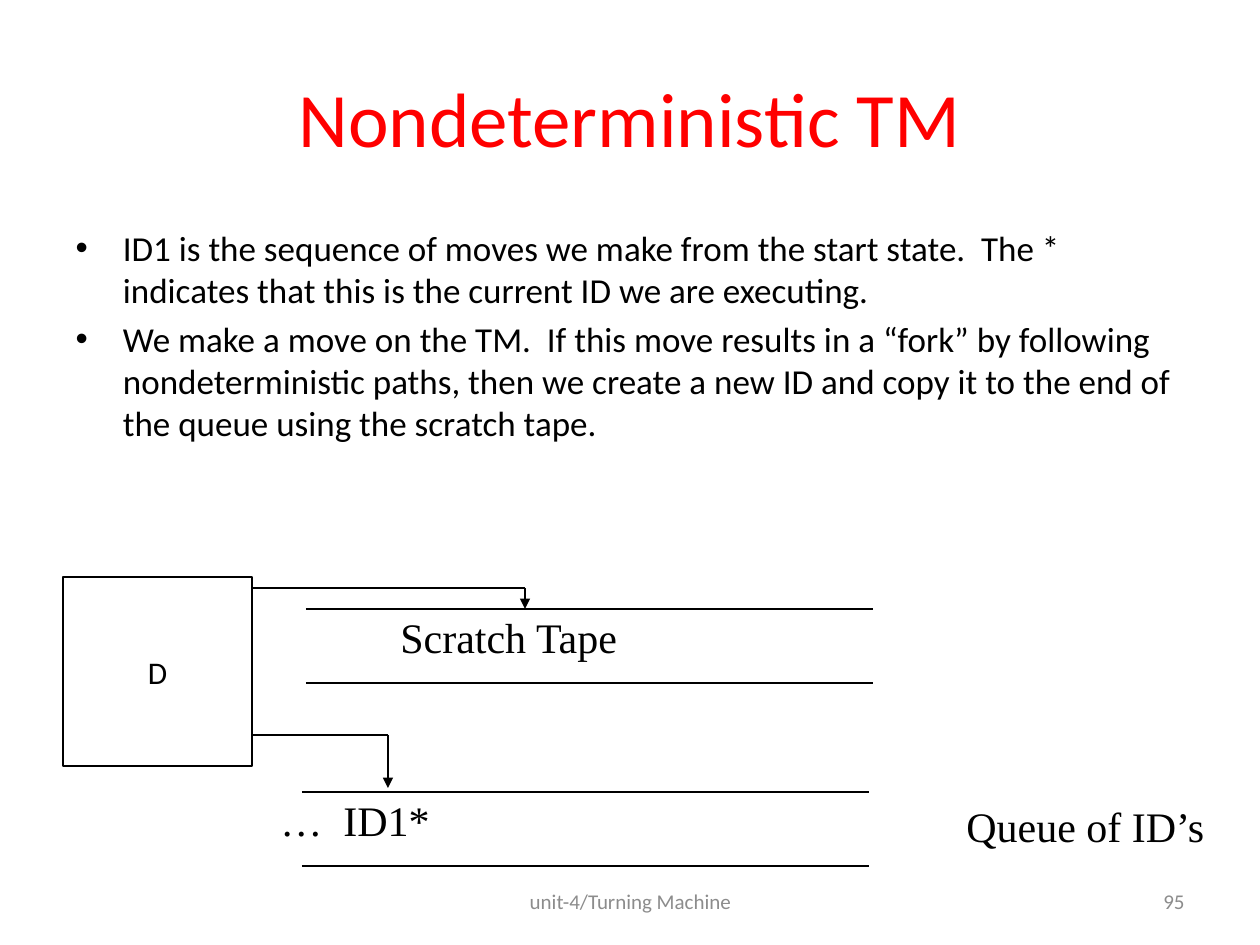
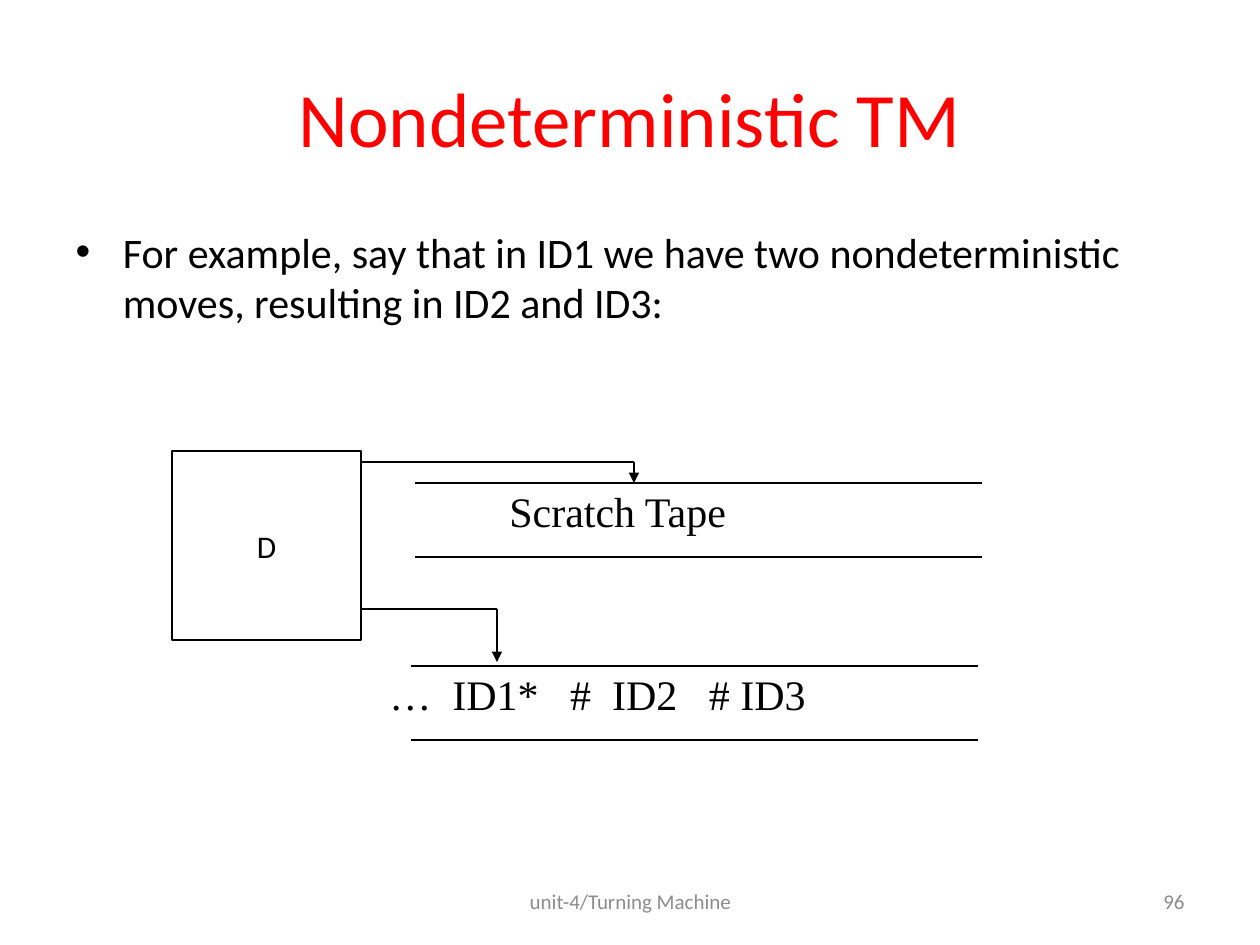
from dataclasses import dataclass

from lxml.etree import SubElement
from pptx import Presentation
from pptx.dml.color import RGBColor
from pptx.enum.shapes import MSO_CONNECTOR, MSO_SHAPE
from pptx.enum.text import MSO_ANCHOR, MSO_AUTO_SIZE, PP_ALIGN
from pptx.oxml.ns import qn
from pptx.util import Emu, Pt


@dataclass(frozen=True)
class Theme:
    red: RGBColor = RGBColor(255, 0, 0)
    ink: RGBColor = RGBColor(0, 0, 0)
    grey: RGBColor = RGBColor(140, 140, 140)
    sans: str = "Calibri"
    serif: str = "Times New Roman"
    title: int = 44
    label: int = 24
    state: int = 18
    small: int = 12
    line: float = 0.75


THEME = Theme()
SCALE = 914400 / 126
HEAD = "Nondeterministic TM"
FOOT = "unit-4/Turning Machine"

SLIDES = [
    {
        "points": [
            "ID1 is the sequence of moves we make from the start state.  The * "
            "indicates that this is the current ID we are executing.",
            "We make a move on the TM.  If this move results in a “fork” by following "
            "nondeterministic paths, then we create a new ID and copy it to the end of "
            "the queue using the scratch tape.",
        ],
        "size": 20,
        "origin": (63, 577),
        "queue": "…  ID1*",
        "note": "Queue of ID’s",
        "page": "95",
    },
    {
        "points": [
            "For example, say that in ID1 we have two nondeterministic moves, "
            "resulting in ID2 and ID3:",
        ],
        "size": 24,
        "origin": (172, 451),
        "queue": "…  ID1*   #  ID2   # ID3",
        "note": None,
        "page": "96",
    },
]

TITLE = (63, 38, 1134, 157)
BODY = (63, 220, 1134, 624)
MIDDLE = (431, 876, 399, 50)
RIGHT = (903, 876, 294, 50)

SIDE = 189
TAPE = 567
GAP = 74
TAPES = [(243, 32), (239, 215)]
HEADS = [(11, 462, 32), (158, 325, 211)]
SCRATCH = (325, 28, 260, 63)
QUEUE = (205, 211, 464, 63)
NOTE = (891, 217, 280, 63)


def px(n):
    return Emu(round(n * SCALE))


def place(shape, box):
    shape.left, shape.top, shape.width, shape.height = map(px, box)


def shift(box, origin):
    return (box[0] + origin[0], box[1] + origin[1], *box[2:])


def style(frame, font, size, color, align=PP_ALIGN.LEFT, anchor=MSO_ANCHOR.TOP):
    frame.word_wrap = True
    frame.auto_size = MSO_AUTO_SIZE.NONE
    frame.vertical_anchor = anchor
    for para in frame.paragraphs:
        para.alignment = align
        for run in para.runs:
            run.font.name = font
            run.font.size = Pt(size)
            run.font.color.rgb = color


def label(slide, text, box, font=THEME.serif, size=THEME.label, color=THEME.ink, **pos):
    frame = slide.shapes.add_textbox(*map(px, box)).text_frame
    frame.text = text
    style(frame, font, size, color, **pos)


def line(slide, start, end, arrow=False):
    rule = slide.shapes.add_connector(
        MSO_CONNECTOR.STRAIGHT, *map(px, (*start, *end))
    )
    rule.line.color.rgb = THEME.ink
    rule.line.width = Pt(THEME.line)
    if arrow:
        SubElement(rule.line._get_or_add_ln(), qn("a:tailEnd"), type="triangle")
    SubElement(rule._element.spPr, qn("a:effectLst"))


def state(slide, origin):
    box = slide.shapes.add_shape(
        MSO_SHAPE.RECTANGLE, *map(px, (*origin, SIDE, SIDE))
    )
    box.shadow.inherit = False
    box.fill.background()
    box.line.color.rgb = THEME.ink
    box.line.width = Pt(THEME.line)
    box.text_frame.text = "D"
    style(box.text_frame, THEME.sans, THEME.state, THEME.ink,
          PP_ALIGN.CENTER, MSO_ANCHOR.MIDDLE)


def machine(slide, origin, queue):
    left, top = origin
    for x, y in TAPES:
        for edge in (y, y + GAP):
            line(slide, (left + x, top + edge), (left + x + TAPE, top + edge))
    label(slide, "Scratch Tape", shift(SCRATCH, origin))
    label(slide, queue, shift(QUEUE, origin))
    state(slide, origin)
    for y, x, tip in HEADS:
        bend = (left + x, top + y)
        line(slide, (left + SIDE, top + y), bend)
        line(slide, bend, (left + x, top + tip), arrow=True)


def words(slide, points, size):
    title, body = slide.shapes.title, slide.placeholders[1]
    place(title, TITLE)
    title.text_frame.text = HEAD
    style(title.text_frame, THEME.sans, THEME.title, THEME.red,
          PP_ALIGN.CENTER, MSO_ANCHOR.MIDDLE)
    place(body, BODY)
    frame = body.text_frame
    frame.text = "\n".join(points)
    style(frame, THEME.sans, size, THEME.ink)
    for i, para in enumerate(frame.paragraphs):
        para.space_before = Pt(size * 0.2 if i else 0)


def footer(slide, page):
    for text, box, align in (
        (FOOT, MIDDLE, PP_ALIGN.CENTER),
        (page, RIGHT, PP_ALIGN.RIGHT),
    ):
        label(slide, text, box, THEME.sans, THEME.small, THEME.grey,
              align=align, anchor=MSO_ANCHOR.MIDDLE)


def main():
    deck = Presentation()
    deck.slide_width, deck.slide_height = px(1260), px(945)
    for item in SLIDES:
        slide = deck.slides.add_slide(deck.slide_layouts[1])
        words(slide, item["points"], item["size"])
        machine(slide, item["origin"], item["queue"])
        if item["note"]:
            label(slide, item["note"], shift(NOTE, item["origin"]))
        footer(slide, item["page"])
    deck.save("out.pptx")


if __name__ == "__main__":
    main()
